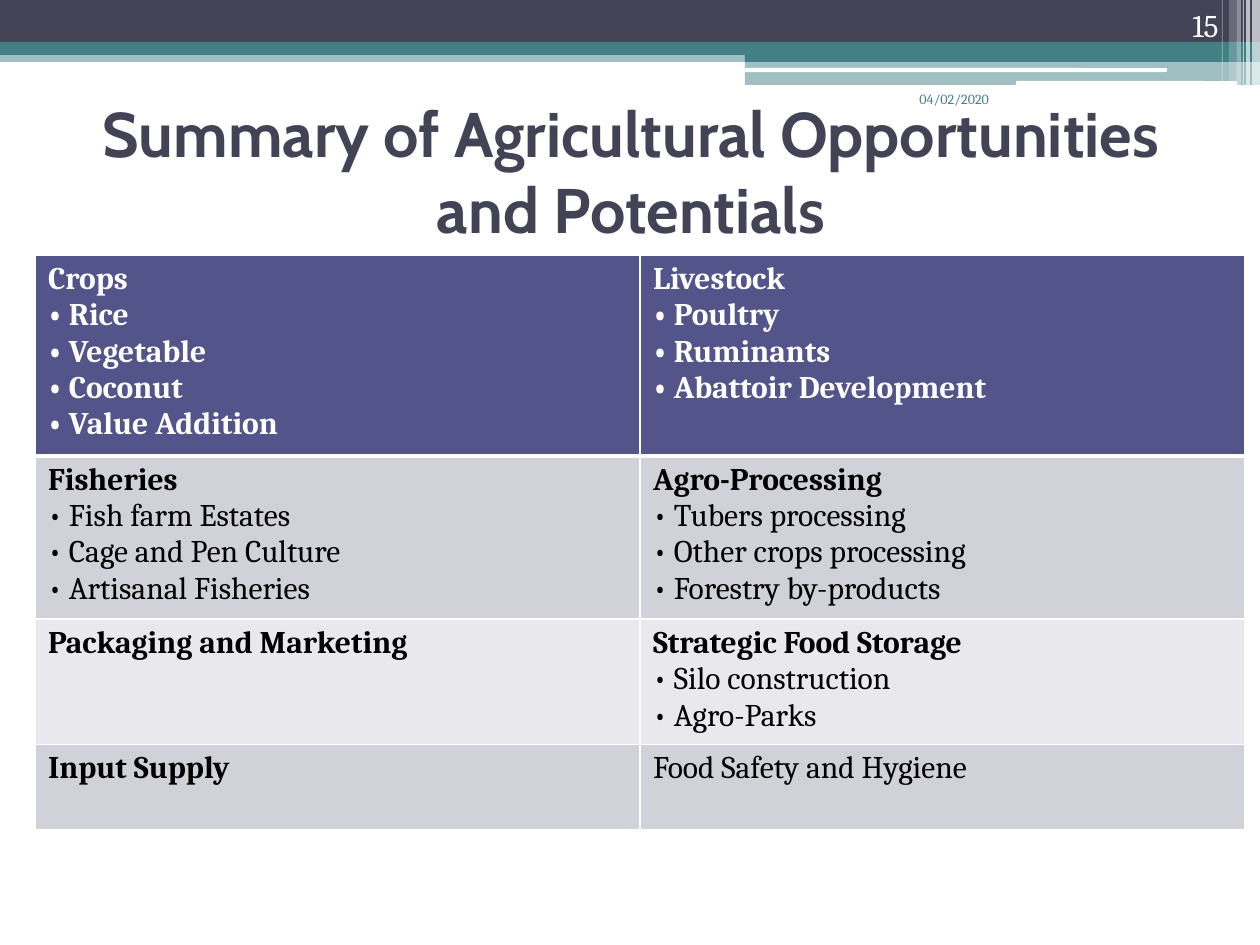
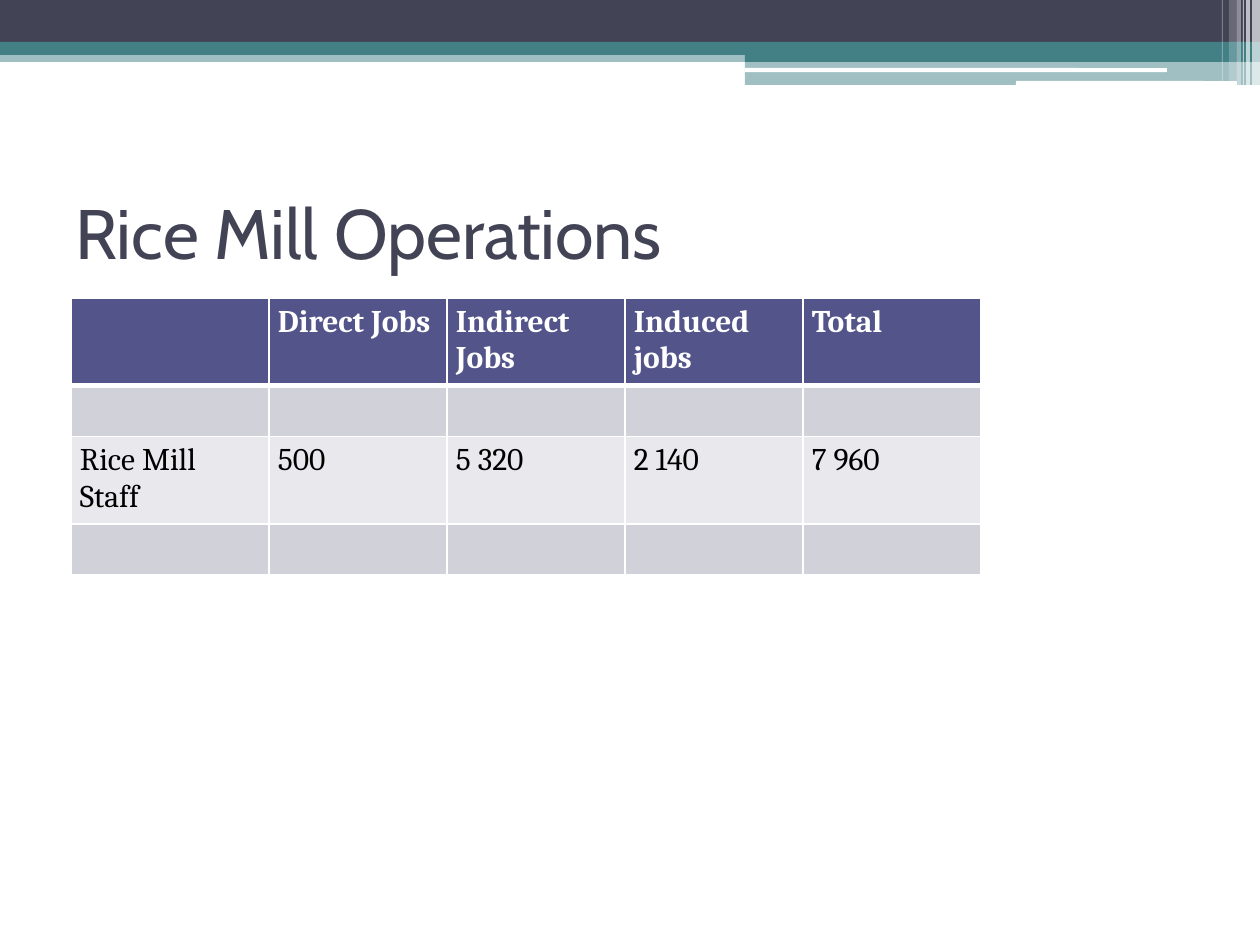
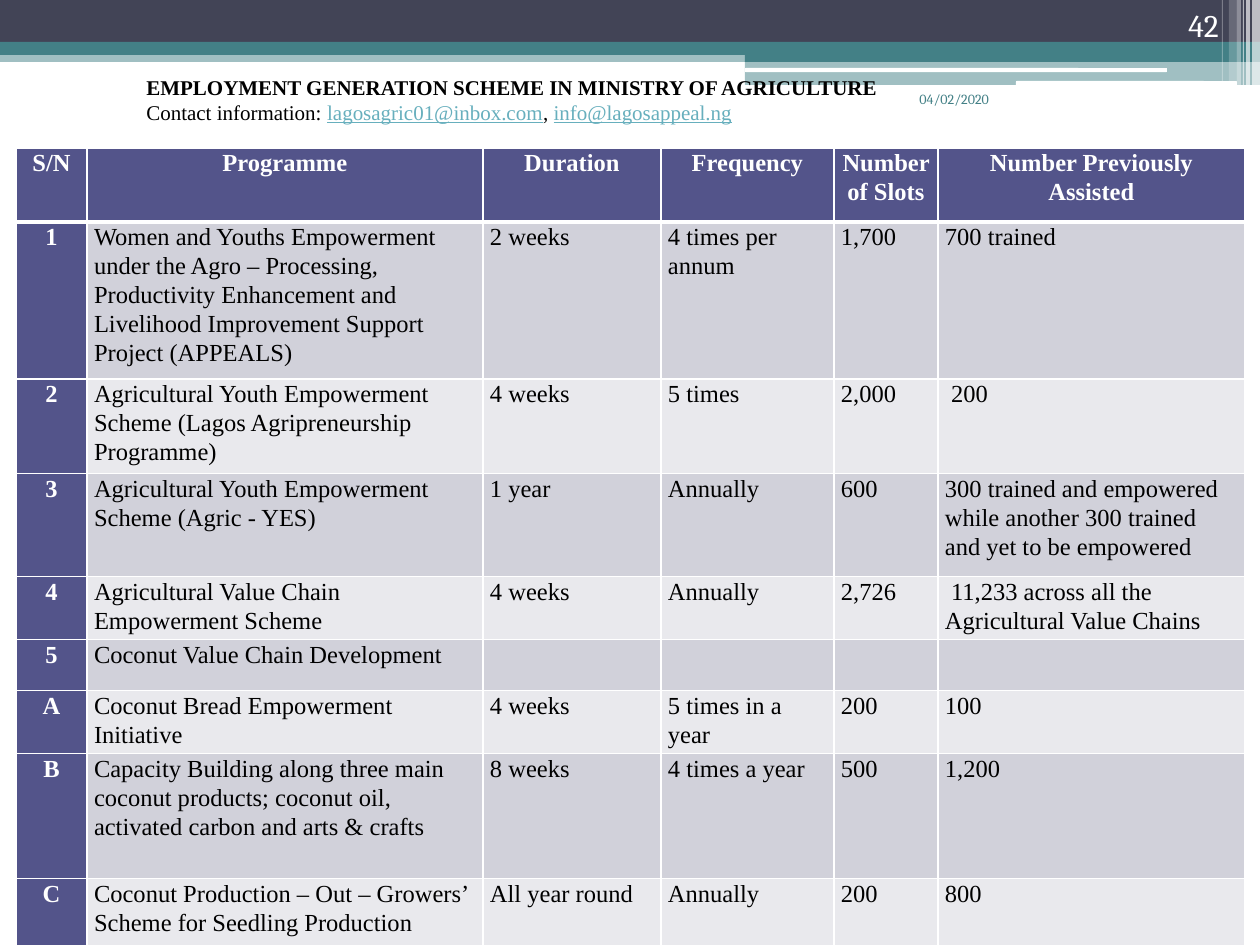
from lxml.etree import SubElement
from pptx import Presentation
from pptx.dml.color import RGBColor
from pptx.enum.shapes import MSO_SHAPE
from pptx.enum.text import MSO_ANCHOR, PP_ALIGN
from pptx.oxml.ns import qn
from pptx.util import Pt

EMU_PER_PX = 914400 / 126
SLIDE_BOX = (0, 0, 1260, 945)
COLORS = {
    "slate": "424456", "teal": "438086", "white": "FFFFFF", "black": "000000",
    "header": "53548A", "odd": "D1D1DA", "even": "E9E9ED", "link": "67AFBD",
}
HEADING_FONT, BODY_FONT, SCHEME_FONT = "Cabin", "Cambria", "Times New Roman"

BANDS = [
    (0, 50, 1260, 12, "teal", 50),
    (0, 0, 1260, 43, "slate", 100),
    (0, 42, 1260, 13, "teal", 100),
    (745, 49, 515, 13, "teal", 100),
    (745, 61, 515, 24, "teal", 50),
]
PILLS = [(745, 68, 422, 4), (1016, 81, 221, 5)]
STRIPES = [
    (1252, 8, 85, 65), (1246, 4, 85, 65), (1243, 1, 85, 60),
    (1237, 4, 85, 40), (1229, 8, 81, 20), (1222, 1, 81, 30),
]

OPPORTUNITIES = [
    ["Crops\n• Rice\n• Vegetable\n• Coconut\n• Value Addition",
     "Livestock\n• Poultry\n• Ruminants\n• Abattoir Development"],
    ["Fisheries\n• Fish farm Estates\n• Cage and Pen Culture\n• Artisanal Fisheries",
     "Agro-Processing\n• Tubers processing\n• Other crops processing\n• Forestry by-products"],
    ["Packaging and Marketing",
     "Strategic Food Storage\n• Silo construction\n• Agro-Parks"],
    ["Input Supply", "Food Safety and Hygiene"],
]
RICE_MILL_JOBS = [
    ["", "Direct Jobs", "Indirect Jobs", "Induced jobs", "Total"],
    [""] * 5,
    ["Rice Mill Staff", "500", "5 320", "2 140", "7 960"],
    [""] * 5,
]
PROGRAMMES = [
    ["S/N", "Programme", "Duration", "Frequency", "Number of Slots",
     "Number Previously Assisted"],
    ["1", "Women and Youths Empowerment under the Agro – Processing, Productivity "
     "Enhancement and Livelihood Improvement Support Project (APPEALS)",
     "2 weeks", "4 times per annum", "1,700", "700 trained"],
    ["2", "Agricultural Youth Empowerment Scheme (Lagos Agripreneurship Programme)",
     "4 weeks", "5 times", "2,000", " 200"],
    ["3", "Agricultural Youth Empowerment Scheme (Agric - YES)", "1 year", "Annually",
     "600", "300 trained and empowered while another 300 trained and yet to be empowered"],
    ["4", "Agricultural Value Chain Empowerment Scheme", "4 weeks", "Annually",
     "2,726", " 11,233 across all the Agricultural Value Chains"],
    ["5", "Coconut Value Chain Development", "", "", "", ""],
    ["A", "Coconut Bread Empowerment Initiative", "4 weeks", "5 times in a year",
     "200", "100"],
    ["B", "Capacity Building along three main coconut products; coconut oil, "
     "activated carbon and arts & crafts", "8 weeks", "4 times a year", "500", "1,200"],
    ["C", "Coconut Production – Out – Growers’ Scheme for Seedling Production",
     "All year round", "Annually", "200", "800"],
]


def px(length):
    return round(length * EMU_PER_PX)


def place(box, left, top, width, height):
    return [px(value) for value in (box[0] + left, box[1] + top, width, height)]


def rgb(name):
    return RGBColor.from_string(COLORS[name])


def format_run(run, font, size, color, bold=False, underline=False):
    run.font.name = font
    run.font.size = Pt(size)
    run.font.color.rgb = rgb(color)
    run.font.bold = bold
    run.font.underline = underline


def add_block(slide, box, shape_type, bounds, color, opacity=100):
    shape = slide.shapes.add_shape(shape_type, *place(box, *bounds))
    shape.shadow.inherit = False
    shape.fill.solid()
    shape.fill.fore_color.rgb = rgb(color)
    shape.line.fill.background()
    if opacity < 100:
        color_element = shape.fill._xPr.find(qn("a:solidFill"))[0]
        SubElement(color_element, qn("a:alpha"), val=str(opacity * 1000))


def add_bands(slide, box):
    for *bounds, color, opacity in BANDS:
        add_block(slide, box, MSO_SHAPE.RECTANGLE, bounds, color, opacity)
    for bounds in PILLS:
        add_block(slide, box, MSO_SHAPE.ROUNDED_RECTANGLE, bounds, "white")
    for left, width, height, opacity in STRIPES:
        add_block(slide, box, MSO_SHAPE.RECTANGLE, (left, 0, width, height),
                  "white", opacity)


def add_text(slide, box, text, font, size, color, bold=False,
             anchor=MSO_ANCHOR.TOP, align=PP_ALIGN.LEFT):
    frame = slide.shapes.add_textbox(*place(box, 0, 0, *box[2:])).text_frame
    frame.word_wrap = True
    frame.vertical_anchor = anchor
    frame.text = text
    for paragraph in frame.paragraphs:
        paragraph.alignment = align
        for run in paragraph.runs:
            format_run(run, font, size, color, bold)
    return frame


def add_title(slide, box, text, size, bold=False, align=PP_ALIGN.LEFT):
    return add_text(slide, box, text, HEADING_FONT, size, "slate", bold,
                    MSO_ANCHOR.MIDDLE, align)


def add_date_and_number(slide, box, number):
    left, top = box[:2]
    add_text(slide, (left + 907, top + 84, 132, 63), "04/02/2020", BODY_FONT, 8, "teal")
    add_text(slide, (left + 1126, top, 105, 50), number, BODY_FONT, 18, "white",
             anchor=MSO_ANCHOR.BOTTOM, align=PP_ALIGN.RIGHT)


def set_borders(cell, row_index):
    widths = {"lnL": 1, "lnR": 1, "lnT": 3 if row_index == 1 else 1,
              "lnB": 3 if row_index == 0 else 1}
    properties = cell._tc.get_or_add_tcPr()
    for side, width in widths.items():
        line = SubElement(properties, qn(f"a:{side}"), w=str(Pt(width)))
        fill = SubElement(line, qn("a:solidFill"))
        SubElement(fill, qn("a:srgbClr"), val=COLORS["white"])


def add_table(slide, box, rows, columns, heights, insets, font, size,
              spacing=None, header_column=False, centered=False, is_bold=None):
    frame = slide.shapes.add_table(len(rows), len(columns), *place(box, 0, 0, *box[2:]))
    table = frame.table
    table.first_row = table.horz_banding = False
    for column, width in zip(table.columns, columns):
        column.width = px(width)
    for row, height in zip(table.rows, heights):
        row.height = px(height)
    for row_index, texts in enumerate(rows):
        for column_index, text in enumerate(texts):
            cell = table.cell(row_index, column_index)
            header = row_index == 0 or (header_column and column_index == 0)
            set_borders(cell, row_index)
            cell.fill.solid()
            cell.fill.fore_color.rgb = rgb(
                "header" if header else "odd" if row_index % 2 else "even")
            cell.margin_left = cell.margin_right = px(insets[0])
            cell.margin_top = cell.margin_bottom = px(insets[1])
            cell.text_frame.text = text
            for line_index, paragraph in enumerate(cell.text_frame.paragraphs):
                paragraph.line_spacing = spacing
                if header and centered:
                    paragraph.alignment = PP_ALIGN.CENTER
                bold = header or bool(
                    is_bold and is_bold(row_index, column_index, line_index))
                for run in paragraph.runs:
                    format_run(run, font, size, "white" if header else "black", bold)


def is_sector_name(row_index, column_index, line_index):
    return line_index == 0 and (row_index, column_index) != (3, 1)


def build_opportunities(slide, box):
    left, top = box[:2]
    add_bands(slide, box)
    title = add_title(slide, (left + 64, top + 135, 1134, 147),
                      "Summary of Agricultural Opportunities and Potentials",
                      36, True, PP_ALIGN.CENTER)
    title.margin_bottom = px(82)
    add_date_and_number(slide, box, "15")
    add_table(slide, (left + 35, top + 255, 1210, 562), OPPORTUNITIES, [605] * 2,
              [198, 157, 122, 85], (13, 6), BODY_FONT, 18, is_bold=is_sector_name)


def build_rice_mill(slide, box):
    left, top = box[:2]
    add_bands(slide, box)
    add_title(slide, (left + 63, top + 158, 1134, 147), "Rice Mill Operations", 40)
    add_table(slide, (left + 71, top + 298, 908, 272), RICE_MILL_JOBS,
              [198] + [178] * 4, [85, 51] * 2, (9, 6), BODY_FONT, 18)


def add_contact(slide, box):
    frame = add_text(slide, box, "EMPLOYMENT GENERATION SCHEME IN MINISTRY OF AGRICULTURE",
                     SCHEME_FONT, 12, "black", True, MSO_ANCHOR.MIDDLE)
    paragraph = frame.add_paragraph()
    for text, is_address in [
        ("Contact information: ", False), ("lagosagric01@inbox.com", True),
        (", ", False), ("info@lagosappeal.ng", True),
    ]:
        run = paragraph.add_run()
        run.text = text
        format_run(run, SCHEME_FONT, 12, "link" if is_address else "black",
                   underline=is_address)


def build_employment_scheme(slide, box):
    left, top = box[:2]
    add_bands(slide, box)
    add_table(slide, (left + 16, top + 148, 1229, 787), PROGRAMMES,
              [71, 396, 178, 173, 104, 307],
              [74, 154, 87, 103, 58, 51, 58, 125, 77], (7, 0), SCHEME_FONT, 14,
              spacing=1.07, header_column=True, centered=True)
    add_date_and_number(slide, box, "42")
    add_contact(slide, (left + 134, top + 68, 1126, 63))


def main():
    presentation = Presentation()
    presentation.slide_width, presentation.slide_height = map(px, SLIDE_BOX[2:])
    for build in (build_opportunities, build_rice_mill, build_employment_scheme):
        slide = presentation.slides.add_slide(presentation.slide_layouts[6])
        build(slide, SLIDE_BOX)
    presentation.save("out.pptx")


if __name__ == "__main__":
    main()
